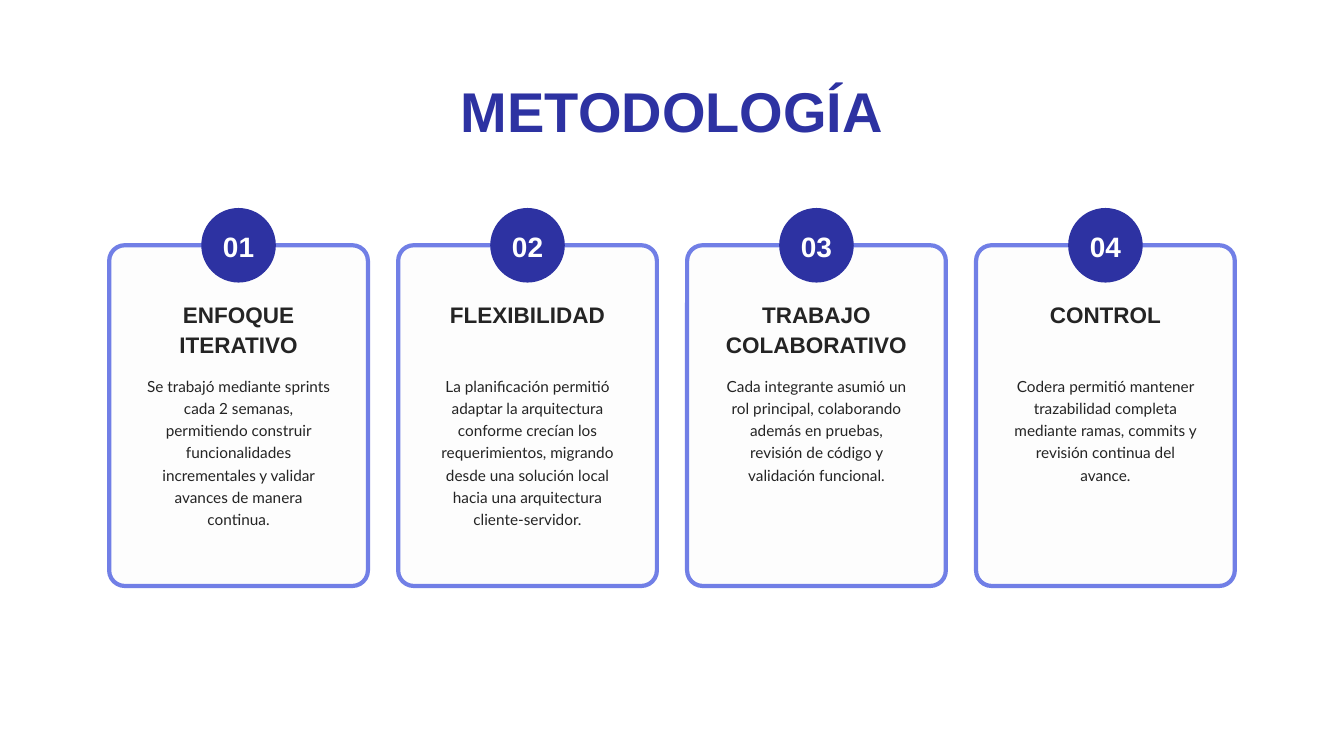
from pptx import Presentation
from pptx.dml.color import RGBColor
from pptx.enum.shapes import MSO_SHAPE
from pptx.enum.text import MSO_ANCHOR, PP_ALIGN
from pptx.util import Inches, Pt

ROUNDED, OVAL = MSO_SHAPE.ROUNDED_RECTANGLE, MSO_SHAPE.OVAL
CENTER, TOP = PP_ALIGN.CENTER, MSO_ANCHOR.TOP

COLORS = {
    "navy": "2D32A2",
    "border": "717FE6",
    "card": "FDFDFD",
    "text": "242424",
    "white": "FFFFFF",
}

STEPS = [
    ("ENFOQUE ITERATIVO",
     "Se trabajó mediante sprints cada 2 semanas, permitiendo construir "
     "funcionalidades incrementales y validar avances de manera continua."),
    ("FLEXIBILIDAD",
     "La planificación permitió adaptar la arquitectura conforme crecían los "
     "requerimientos, migrando desde una solución local hacia una "
     "arquitectura cliente-servidor."),
    ("TRABAJO COLABORATIVO",
     "Cada integrante asumió un rol principal, colaborando además en pruebas, "
     "revisión de código y validación funcional."),
    ("CONTROL",
     "Codera permitió mantener trazabilidad completa mediante ramas, commits "
     "y revisión continua del avance."),
]

FIRST_CENTER, PITCH = 3.55, 4.3
CARD_TOP, CARD_WIDTH, CARD_HEIGHT = 3.65, 3.85, 5.07
BADGE_SIZE = 1.11


class SlideBuilder:
    def __init__(self, page):
        self.page = page

    def color(self, name):
        return RGBColor.from_string(COLORS[name])

    def shape(self, kind, center, top, width, height, fill, line=None):
        shape = self.page.shapes.add_shape(
            kind, Inches(center - width / 2), Inches(top),
            Inches(width), Inches(height))
        shape.shadow.inherit = False
        shape.fill.solid()
        shape.fill.fore_color.rgb = self.color(fill)
        if line:
            shape.line.color.rgb = self.color(line)
            shape.line.width = Pt(4.5)
        else:
            shape.line.fill.background()
        return shape

    def text(self, words, center, top, width, height, size, spacing,
             color="text", font="Arial", bold=True):
        box = self.page.shapes.add_textbox(
            Inches(center - width / 2), Inches(top),
            Inches(width), Inches(height))
        frame = box.text_frame
        frame.word_wrap = True
        frame.vertical_anchor = TOP
        frame.margin_left = frame.margin_right = 0
        frame.margin_top = frame.margin_bottom = 0
        para = frame.paragraphs[0]
        para.alignment = CENTER
        para.line_spacing = Pt(spacing)
        span = para.add_run()
        span.text = words
        span.font.name = font
        span.font.size = Pt(size)
        span.font.bold = bold
        span.font.color.rgb = self.color(color)

    def card(self, center):
        card = self.shape(ROUNDED, center, CARD_TOP, CARD_WIDTH, CARD_HEIGHT,
                          "card", "border")
        card.adjustments[0] = 0.06

    def badge(self, center, number):
        self.shape(OVAL, center, CARD_TOP - BADGE_SIZE / 2,
                   BADGE_SIZE, BADGE_SIZE, "navy")
        self.text(f"{number:02d}", center, 3.37, 1.01, 0.52, 30, 39, "white")


def main():
    deck = Presentation()
    deck.slide_width, deck.slide_height = Inches(20), Inches(11.25)
    builder = SlideBuilder(deck.slides.add_slide(deck.slide_layouts[6]))

    # Title
    builder.text("METODOLOGÍA", 10, 1.05, 11.89, 1.07, 60, 78, "navy")

    # One card per step: frame, number, heading and description
    for index, (heading, description) in enumerate(STEPS):
        center = FIRST_CENTER + index * PITCH
        builder.card(center)
        builder.badge(center, index + 1)
        builder.text(heading, center, 4.45, 3.2, 0.85, 24.1, 31.4)
        builder.text(description, center, 5.55, 2.79, 2.25, 16.4, 23.8,
                     font="Lato", bold=False)

    deck.save("out.pptx")


if __name__ == "__main__":
    main()
